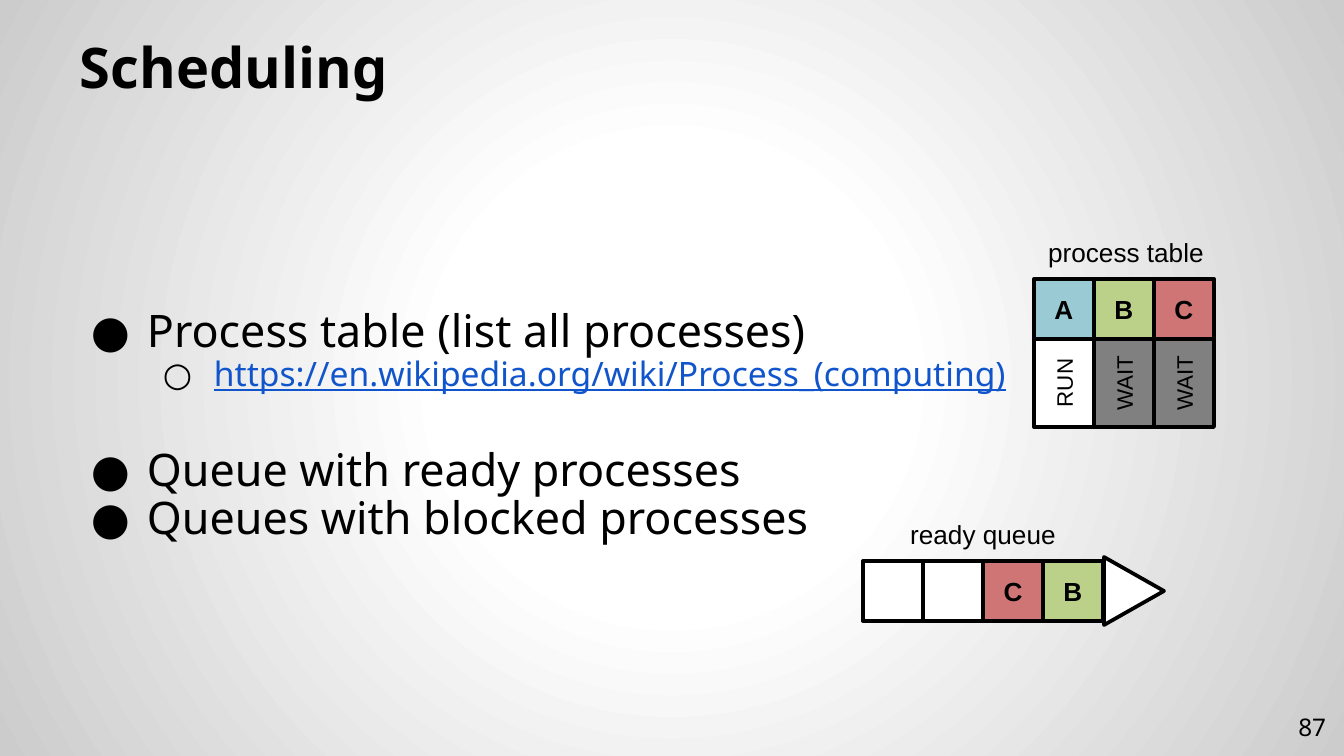
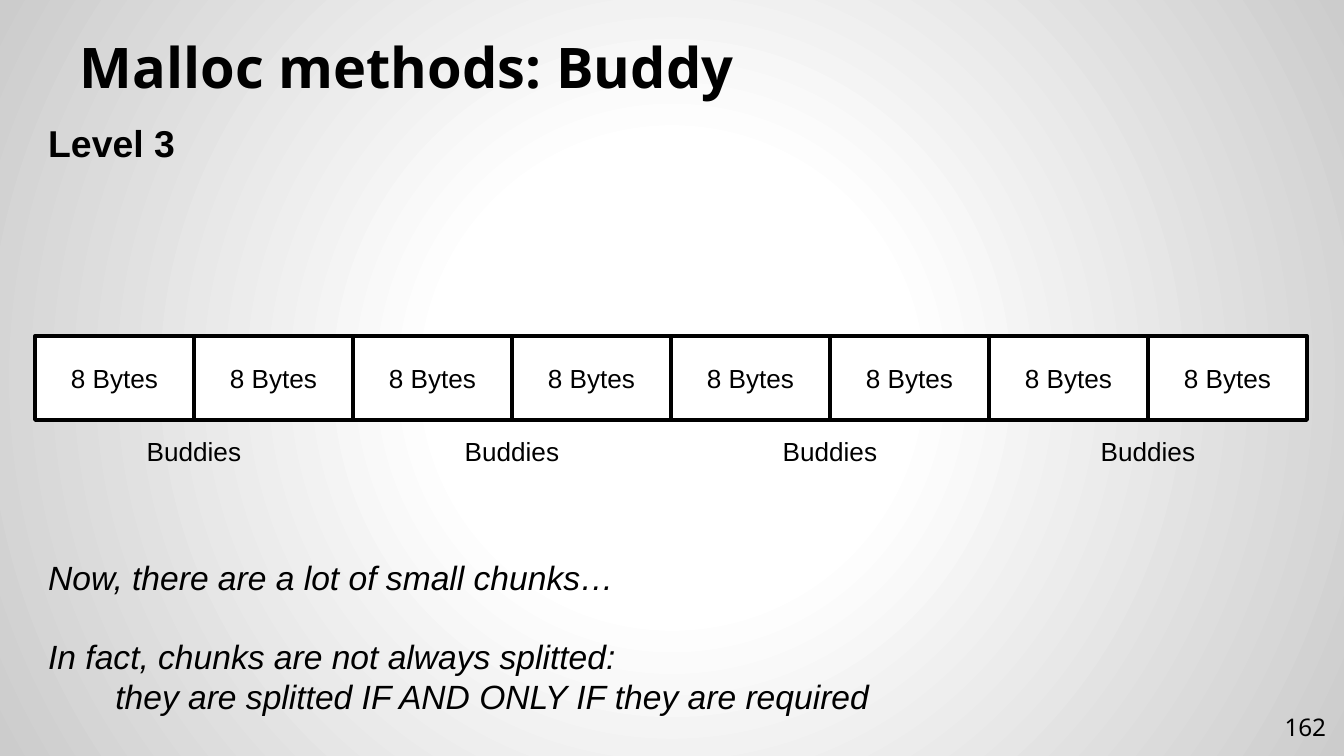
from lxml import etree
from pptx import Presentation
from pptx.dml.color import RGBColor
from pptx.enum.shapes import MSO_SHAPE
from pptx.enum.text import MSO_ANCHOR, PP_ALIGN
from pptx.oxml import parse_xml
from pptx.oxml.ns import nsdecls, qn
from pptx.util import Emu, Pt

RECT, TIP = MSO_SHAPE.RECTANGLE, MSO_SHAPE.ISOSCELES_TRIANGLE
TOP, MID, LOW = MSO_ANCHOR.TOP, MSO_ANCHOR.MIDDLE, MSO_ANCHOR.BOTTOM
LEFT, MIDST, RIGHT = PP_ALIGN.LEFT, PP_ALIGN.CENTER, PP_ALIGN.RIGHT

HUES = {
    "ink": "000000", "link": "1155CC", "white": "FFFFFF", "edge": "CCCCCC",
    "blue": "9ACAD3", "green": "BBD189", "red": "D07576", "grey": "808080",
}
SCALE = 914400 / 134.4
PAD = 13
CELL = 60

TITLE = {"name": "Noto Sans", "size": Pt(30), "bold": True}
POINT = {"name": "Noto Sans", "size": Pt(24)}
LINK = {"name": "Noto Sans", "size": Pt(18), "underline": True}
PAGE = {"name": "Noto Sans", "size": Pt(13)}
LABEL = {"name": "Arial", "size": Pt(14)}
MARK = {**LABEL, "bold": True}
STATE = {"name": "Arial", "size": Pt(12)}
LEVEL = {"name": "Arial", "size": Pt(20), "bold": True}
NOTE = {"name": "Arial", "size": Pt(18), "italic": True}


def px(count):
    return Emu(round(count * SCALE))


def hue(name):
    return RGBColor.from_string(HUES[name])


def write(para, text, style, color="ink", align=LEFT):
    para.text = text
    para.alignment = align
    for run in para.runs:
        for key, value in style.items():
            setattr(run.font, key, value)
        run.font.color.rgb = hue(color)


def frame(shapes, box, anchor=TOP, pad=None):
    """Add an empty text box that wraps; return its shape."""
    shape = shapes.add_textbox(*map(px, box))
    text = shape.text_frame
    text.word_wrap = True
    text.vertical_anchor = anchor
    if pad:
        for side in ("left", "right", "top", "bottom"):
            setattr(text, "margin_" + side, px(pad))
    return shape


def label(shapes, box, text, style, align=LEFT, anchor=TOP, pad=None, turn=0):
    shape = frame(shapes, box, anchor, pad)
    shape.rotation = turn
    para = shape.text_frame.paragraphs[0]
    write(para, text, style, align=align)
    return para


def block(shapes, box, fill="white", text="", style=MARK, kind=RECT, turn=0):
    shape = shapes.add_shape(kind, *map(px, box))
    shape.shadow.inherit = False
    shape.rotation = turn
    shape.fill.solid()
    shape.fill.fore_color.rgb = hue(fill)
    shape.line.color.rgb = hue("ink")
    shape.line.width = Pt(2)
    if text:
        shape.text_frame.vertical_anchor = MID
        write(shape.text_frame.paragraphs[0], text, style, align=MIDST)


def bullet(para, sign, left, hang):
    props = para._p.get_or_add_pPr()
    props.set("marL", str(px(left)))
    props.set("indent", str(px(-hang)))
    tint = etree.SubElement(props, qn("a:buClr"))
    etree.SubElement(tint, qn("a:srgbClr")).set("val", HUES["ink"])
    etree.SubElement(props, qn("a:buFont")).set("typeface", "Noto Sans")
    etree.SubElement(props, qn("a:buChar")).set("char", sign)


def points(shapes, box, items):
    """Add bullets given as (text, depth, space before in points)."""
    text = frame(shapes, box, MID, PAD).text_frame
    for rank, (words, depth, gap) in enumerate(items):
        para = text.add_paragraph() if rank else text.paragraphs[0]
        if depth:
            bullet(para, "○", 134, 51)
            write(para, words, LINK, "link")
        else:
            bullet(para, "●", 67, 56)
            write(para, words, POINT)
        para.level = depth
        para.line_spacing = 0.9
        para.space_before = Pt(gap)


def glow(slide):
    """Fill the background with a round gradient from the centre."""
    stops = "".join(
        f'<a:gs pos="{spot * 1000}"><a:srgbClr val="{HUES[name]}"/></a:gs>'
        for spot, name in ((0, "white"), (30, "white"), (100, "edge")))
    slide.element.cSld.insert(0, parse_xml(
        f'<p:bg {nsdecls("p", "a")}><p:bgPr><a:gradFill>'
        f'<a:gsLst>{stops}</a:gsLst><a:path path="circle">'
        '<a:fillToRect l="50000" t="50000" r="50000" b="50000"/></a:path>'
        '</a:gradFill><a:effectLst/></p:bgPr></p:bg>'))


def page(deck, title, number):
    slide = deck.slides.add_slide(deck.slide_layouts[6])
    glow(slide)
    head = label(slide.shapes, (67, 31, 1210, 83), title, TITLE,
                 anchor=LOW, pad=PAD)
    head.line_spacing = 0.9
    label(slide.shapes, (1258, 698, 81, 58), number, PAGE, RIGHT, MID, PAD)
    return slide.shapes


def table(shapes, left, top):
    """Draw each process above its state."""
    group = shapes.add_group_shape().shapes
    label(group, (left - 22, top - 49, 228, 46), "process table", LABEL, MIDST)
    rows = (("A", "blue", "RUN", "white"), ("B", "green", "WAIT", "grey"),
            ("C", "red", "WAIT", "grey"))
    for rank, (name, tint, state, shade) in enumerate(rows):
        x = left + rank * CELL
        block(group, (x, top, CELL, CELL), tint, name)
        block(group, (x, top + CELL, CELL, 88), shade)
        label(group, (x - 14, top + 84, 88, 40), state, STATE, MIDST, turn=270)


def queue(shapes, left, top):
    group = shapes.add_group_shape().shapes
    cells = (("", "white"), ("", "white"), ("C", "red"), ("B", "green"))
    for rank, (name, tint) in enumerate(cells):
        block(group, (left + rank * CELL, top, CELL, CELL), tint, name)
    block(group, (left + 237, top, 68, CELL), kind=TIP, turn=90)
    label(group, (left + 8, top - 49, 224, 46), "ready queue", LABEL, MIDST)


def chunks(shapes, left, top, width, count):
    """Draw a row of chunks with a caption under each pair."""
    for rank in range(count):
        x = left + rank * width
        block(shapes, (x, top, width, 84), text="8 Bytes", style=LABEL)
        if rank % 2 == 0:
            label(shapes, (x + width - 109, top + 93, 218, 46), "Buddies",
                  LABEL, MIDST)


def main():
    deck = Presentation()
    deck.slide_width, deck.slide_height = px(1344), px(756)

    plan = page(deck, "Scheduling", "87")
    points(plan, (67, 130, 1210, 593), (
        ("Process table (list all processes)", 0, 0),
        ("https://en.wikipedia.org/wiki/Process_(computing)", 1, 0),
        ("Queue with ready processes", 0, 29),
        ("Queues with blocked processes", 0, 0),
    ))
    table(plan, 1034, 279)
    queue(plan, 863, 561)

    heap = page(deck, "Malloc methods: Buddy", "162")
    label(heap, (35, 114, 386, 59), "Level 3", LEVEL)
    chunks(heap, 35, 336, 159, 8)
    first = label(heap, (35, 550, 1204, 176),
                  "Now, there are a lot of small chunks…", NOTE)
    first.space_after = Pt(21)
    last = heap[-1].text_frame.add_paragraph()
    write(last, "In fact, chunks are not always splitted:\v"
                "\tthey are splitted IF AND ONLY IF they are required", NOTE)

    deck.save("out.pptx")


if __name__ == "__main__":
    main()
